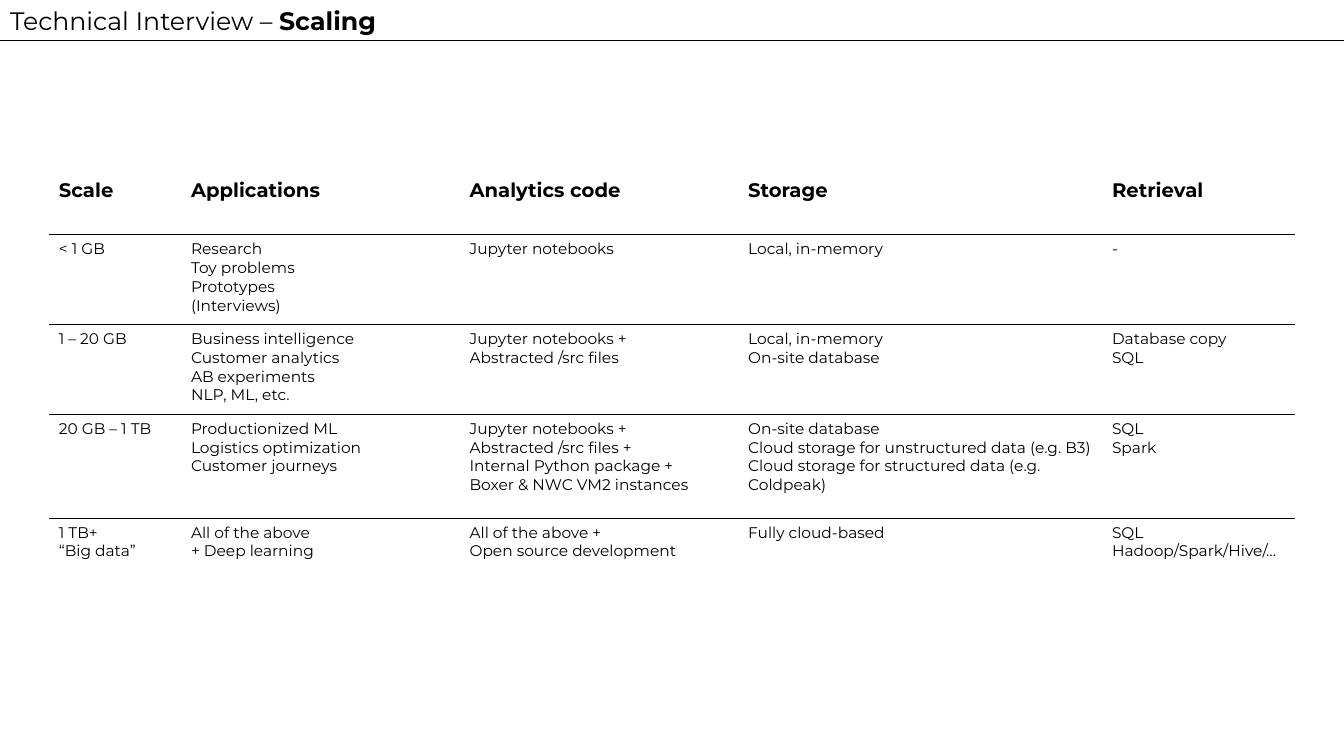
from typing import NamedTuple

from lxml.etree import SubElement
from pptx import Presentation
from pptx.dml.color import RGBColor
from pptx.enum.shapes import MSO_CONNECTOR as Connector
from pptx.enum.text import MSO_ANCHOR as Anchor, MSO_AUTO_SIZE as AutoSize, PP_ALIGN as Align
from pptx.oxml.ns import qn
from pptx.util import Cm, Pt

COLORS = {"ink": "000000"}
PLAIN_TABLE_STYLE = "{2D5ABB26-0587-4C30-8999-92F81FD0307C}"
PAGE_WIDTH, PAGE_HEIGHT = Cm(33.87), Cm(19.05)
TITLE_WIDTH, TITLE_HEIGHT = Cm(12.22), Cm(1.02)
TABLE_LEFT, TABLE_TOP = Cm(1.23), Cm(3.66)
ROW_HEIGHT, TALL_ROW_HEIGHT = Cm(2.26), Cm(2.62)
RULE_WIDTH = Pt(1)

FORMATS = {
    "title": {"name": "Montserrat", "size": Pt(18), "bold": False},
    "title strong": {"name": "Montserrat", "size": Pt(18), "bold": True},
    "header": {"name": "Montserrat", "size": Pt(14), "bold": True},
    "body": {"name": "Montserrat", "size": Pt(11), "bold": False},
}


class Column(NamedTuple):
    """A table column: heading and width."""
    heading: str
    width: Cm


class Scale(NamedTuple):
    """A data scale and what suits it, one text line per paragraph."""
    size: str
    applications: str
    code: str
    storage: str
    retrieval: str


COLUMNS = [
    Column("Scale", Cm(3.33)),
    Column("Applications", Cm(7.02)),
    Column("Analytics code", Cm(7.02)),
    Column("Storage", Cm(9.17)),
    Column("Retrieval", Cm(4.87)),
]
SCALES = [
    Scale("< 1 GB", "Research\nToy problems\nPrototypes\n(Interviews)",
          "Jupyter notebooks", "Local, in-memory", "-"),
    Scale("1 – 20 GB",
          "Business intelligence\nCustomer analytics\nAB experiments\nNLP, ML, etc.",
          "Jupyter notebooks +\nAbstracted /src files",
          "Local, in-memory\nOn-site database", "Database copy\nSQL"),
    Scale("20 GB – 1 TB",
          "Productionized ML\nLogistics optimization\nCustomer journeys",
          "Jupyter notebooks +\nAbstracted /src files +\n"
          "Internal Python package +\nBoxer & NWC VM2 instances",
          "On-site database\nCloud storage for unstructured data (e.g. B3)\n"
          "Cloud storage for structured data (e.g. Coldpeak)", "SQL\nSpark"),
    Scale("1 TB+\n“Big data”", "All of the above\n+ Deep learning",
          "All of the above +\nOpen source development",
          "Fully cloud-based", "SQL\nHadoop/Spark/Hive/…"),
]


def add_span(para, text: str, style: str) -> None:
    """Add a formatted run to a paragraph."""
    span = para.add_run()
    span.text = text
    for key, value in FORMATS[style].items():
        setattr(span.font, key, value)
    span.font.color.rgb = RGBColor.from_string(COLORS["ink"])


def fill_title(page) -> None:
    """Move the title placeholder to the top left and write the title."""
    title = page.shapes.title
    title.left, title.top = Cm(0), Cm(0)
    title.width, title.height = TITLE_WIDTH, TITLE_HEIGHT
    frame = title.text_frame
    frame.word_wrap, frame.auto_size = False, AutoSize.NONE
    frame.vertical_anchor = Anchor.TOP
    para = frame.paragraphs[0]
    para.alignment = Align.LEFT
    add_span(para, "Technical Interview – ", "title")
    add_span(para, "Scaling", "title strong")


def add_title_rule(page) -> None:
    """Draw the thin rule below the title across the page."""
    rule = page.shapes.add_connector(
        Connector.STRAIGHT, Cm(0), TITLE_HEIGHT, PAGE_WIDTH, TITLE_HEIGHT)
    rule.line.width = Pt(0.5)
    rule.line.color.rgb = RGBColor.from_string(COLORS["ink"])
    SubElement(rule._element.spPr, qn("a:effectLst"))


def add_bottom_border(cell) -> None:
    """Give a cell a solid bottom border."""
    properties = cell._tc.get_or_add_tcPr()
    border = SubElement(properties, qn("a:lnB"), w=str(int(RULE_WIDTH)))
    fill = SubElement(border, qn("a:solidFill"))
    SubElement(fill, qn("a:srgbClr"), val=COLORS["ink"])
    properties.insert(0, border)


def fill_cell(cell, text: str, style: str) -> None:
    """Write each line of the text as a paragraph of the cell."""
    cell.fill.background()
    cell.vertical_anchor = Anchor.MIDDLE if style == "header" else Anchor.TOP
    frame = cell.text_frame
    for index, line in enumerate(text.split("\n")):
        para = frame.add_paragraph() if index else frame.paragraphs[0]
        add_span(para, line, style)


def add_scale_table(page) -> None:
    """Add the table of scales with rules between its rows."""
    rows = [[column.heading for column in COLUMNS], *SCALES]
    heights = [TALL_ROW_HEIGHT if row[0] == "20 GB – 1 TB" else ROW_HEIGHT
               for row in rows]
    table = page.shapes.add_table(
        len(rows), len(COLUMNS), TABLE_LEFT, TABLE_TOP,
        sum(column.width for column in COLUMNS), sum(heights)).table
    table.horz_banding = False
    table._tbl.tblPr.find(qn("a:tableStyleId")).text = PLAIN_TABLE_STYLE
    for table_column, column in zip(table.columns, COLUMNS):
        table_column.width = column.width
    for row_index, row in enumerate(rows):
        table.rows[row_index].height = heights[row_index]
        for column_index, text in enumerate(row):
            cell = table.cell(row_index, column_index)
            fill_cell(cell, text, "body" if row_index else "header")
            if row_index < len(rows) - 1:
                add_bottom_border(cell)


def main() -> None:
    """Build and save the deck."""
    deck = Presentation()
    deck.slide_width, deck.slide_height = PAGE_WIDTH, PAGE_HEIGHT
    page = deck.slides.add_slide(deck.slide_layouts.get_by_name("Title Only"))
    add_scale_table(page)
    fill_title(page)
    add_title_rule(page)
    deck.save("out.pptx")


main()
